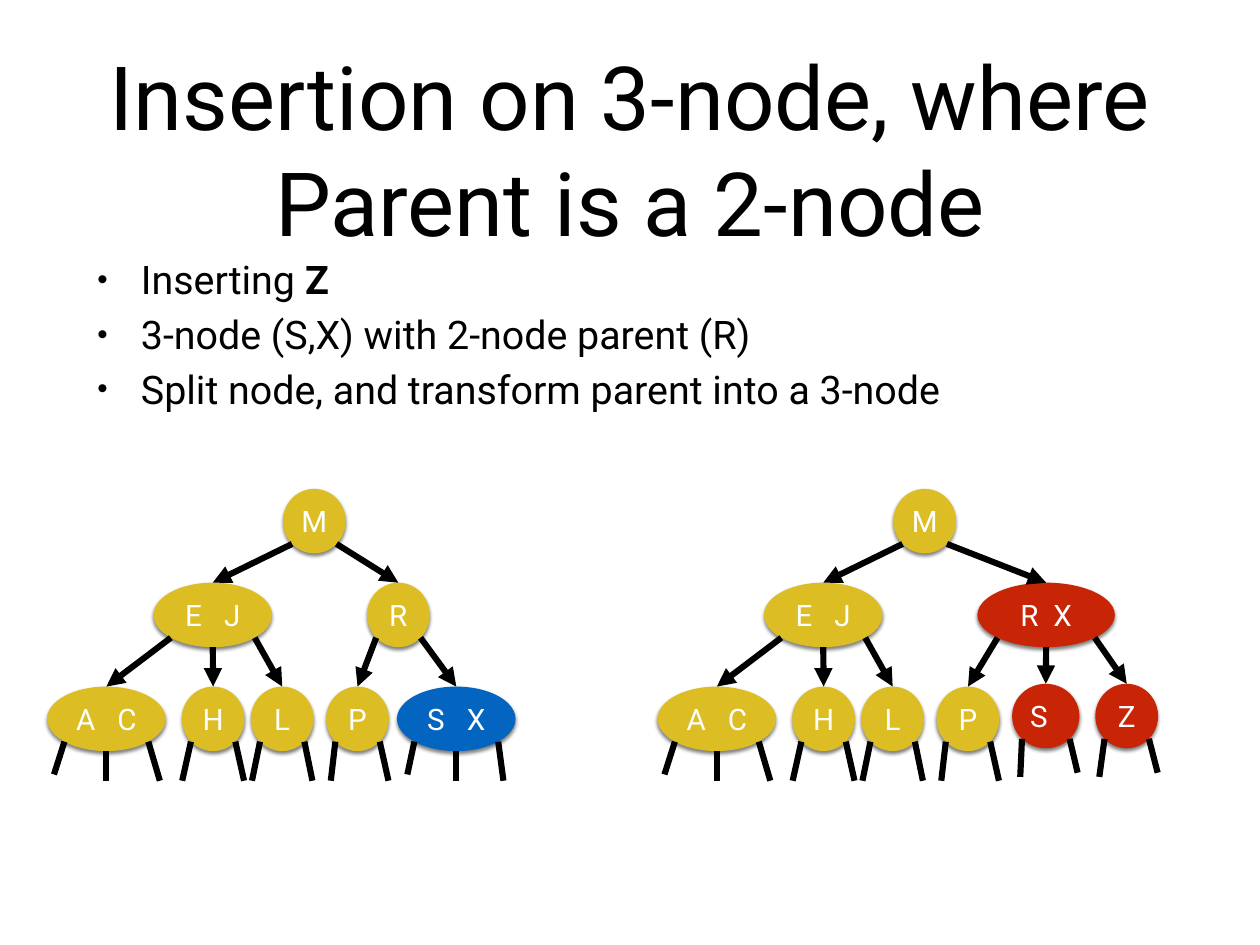
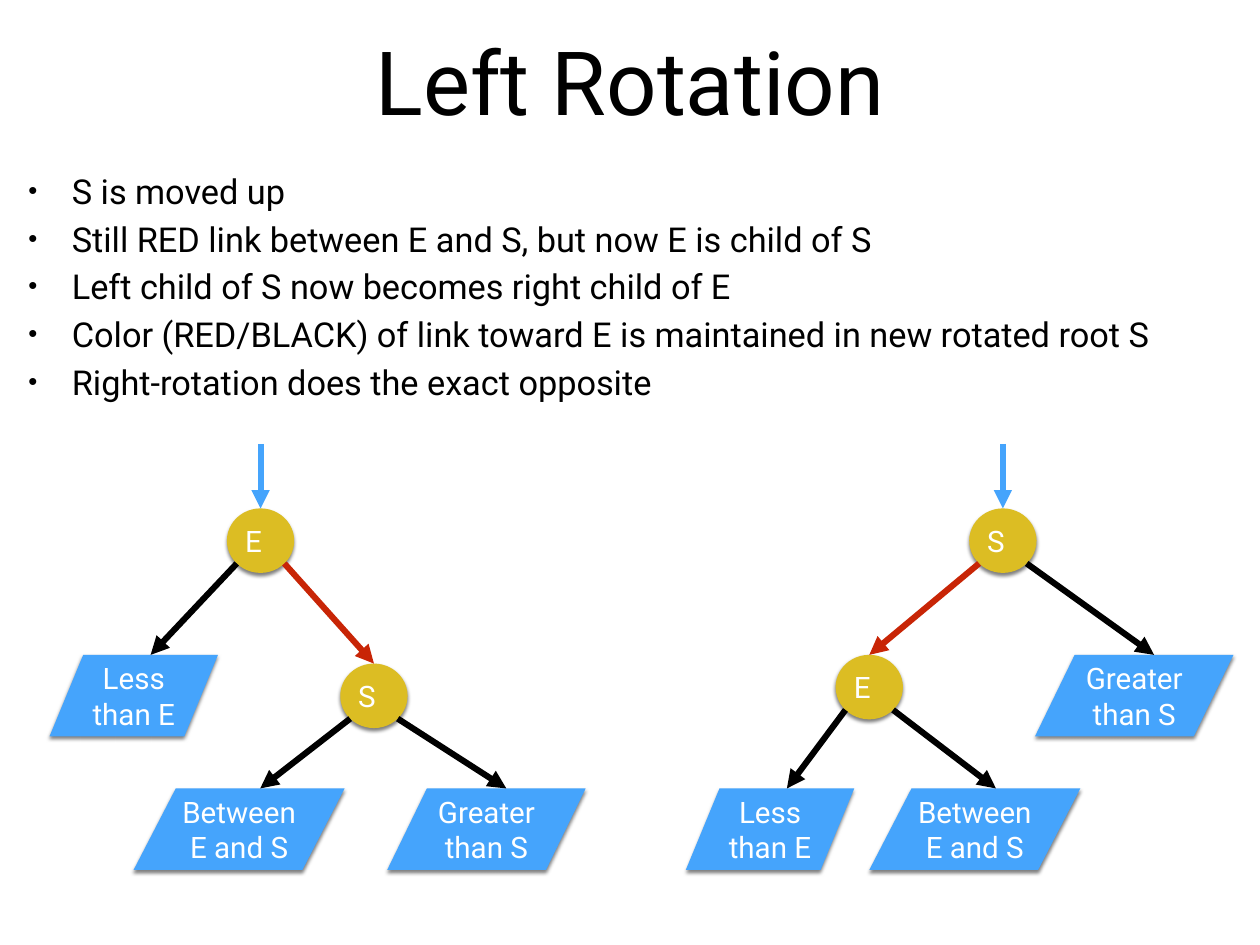
import math

import pptx
import pptx.dml.color
import pptx.enum.shapes
import pptx.enum.text
import pptx.oxml
import pptx.oxml.ns
import pptx.util
from lxml import etree
from pptx.util import Cm, Pt

FONT = "Roboto"
BLACK, WHITE, GOLD = "000000", "FFFFFF", "DCBD23"
RED, BLUE, SKY = "C82506", "0365C0", "45A4FC"
INSET = Cm(0.15)
CIRCLE, WIDE_CIRCLE, OVAL, WIDE_OVAL = 1.8, 1.93, 3.4, 3.94
NODE_HEIGHT, BLOCK_HEIGHT = 1.85, 2.34
DIAGONAL = math.sqrt(0.125)
SPACE_WIDTH = 6
SHAPES = pptx.enum.shapes.MSO_SHAPE
CENTER = pptx.enum.text.PP_ALIGN.CENTER
SHADOW = (
    '<a:outerShdw xmlns:a="http://schemas.openxmlformats.org/drawingml/2006/main"'
    ' blurRad="38100" dist="25400" dir="5400000" rotWithShape="0">'
    '<a:srgbClr val="000000"><a:alpha val="50000"/></a:srgbClr></a:outerShdw>'
)


def rgb(value):
    """Turn a hex string into a colour."""
    return pptx.dml.color.RGBColor.from_string(value)


def add_xml(parent, tag, **attributes):
    """Append a drawing element to its parent."""
    return etree.SubElement(parent, pptx.oxml.ns.qn(tag), attributes)


def style_runs(paragraph, size, color):
    """Give every run of a paragraph the shared font."""
    for run in paragraph.runs:
        run.font.name, run.font.size = FONT, Pt(size)
        run.font.color.rgb = rgb(color)


def set_frame(frame):
    """Apply the shared insets, wrapping and middle anchor."""
    frame.margin_left = frame.margin_right = INSET
    frame.margin_top = frame.margin_bottom = INSET
    frame.word_wrap = True
    frame.auto_size = pptx.enum.text.MSO_AUTO_SIZE.NONE
    frame.vertical_anchor = pptx.enum.text.MSO_ANCHOR.MIDDLE


def place(shape, box):
    """Move a placeholder to a box given in centimetres."""
    shape.left, shape.top, shape.width, shape.height = map(Cm, box)


def add_title(slide, text, box):
    """Fill the title placeholder."""
    title = slide.shapes.title
    place(title, box)
    set_frame(title.text_frame)
    title.text_frame.text = text
    heading = title.text_frame.paragraphs[0]
    heading.alignment = CENTER
    style_runs(heading, 72, BLACK)


def add_bullets(slide, lines, box, size, space_before, line_spacing):
    """Fill the body placeholder, with text after an asterisk in bold."""
    body = slide.placeholders[1]
    place(body, box)
    frame = body.text_frame
    set_frame(frame)
    frame.text = "\n".join(line.partition("*")[0] for line in lines)
    for line, paragraph in zip(lines, frame.paragraphs):
        strong = line.partition("*")[2]
        if strong:
            run = paragraph.add_run()
            run.text, run.font.bold = strong, True
        style_runs(paragraph, size, BLACK)
        paragraph.space_before = Pt(space_before)
        paragraph.line_spacing = line_spacing
        properties = paragraph._p.get_or_add_pPr()
        properties.set("marL", str(Cm(1.25)))
        properties.set("indent", str(-Cm(1.25)))
        add_xml(properties, "a:buSzPct", val="75000")
        add_xml(properties, "a:buChar", char="•")


def add_filled(slide, preset, box, color, text):
    """Draw a shadowed shape with white centred text."""
    shape = slide.shapes.add_shape(preset, *map(Cm, box))
    shape.fill.solid()
    shape.fill.fore_color.rgb = rgb(color)
    shape.line.fill.background()
    shape.shadow.inherit = False
    effects = shape.element.spPr.find(pptx.oxml.ns.qn("a:effectLst"))
    effects.append(pptx.oxml.parse_xml(SHADOW))
    set_frame(shape.text_frame)
    label = shape.text_frame.paragraphs[0]
    label.text = text
    label.alignment = CENTER
    style_runs(label, 24, WHITE)
    return shape


def add_node(slide, keys, center, top, width, color=GOLD, gap=3, nudge=0):
    """Draw a tree node whose keys stand a number of spaces apart."""
    box = (center - width / 2, top, width, NODE_HEIGHT)
    node = add_filled(slide, SHAPES.OVAL, box, color, keys[0])
    label = node.text_frame.paragraphs[0]
    for key in keys[1:]:
        spacer, letter = label.add_run(), label.add_run()
        spacer.text, letter.text = " ", key
        style_runs(label, 24, WHITE)
        spacer.font._element.set("spc", str((gap - 1) * SPACE_WIDTH * 100))
    if nudge:
        node.text_frame.margin_left = 0
        node.text_frame.margin_right = Cm(2 * nudge)
    return node


def add_block(slide, text, left, top, width):
    """Draw a subtree as a slanted block."""
    box = (left, top, width, BLOCK_HEIGHT)
    return add_filled(slide, SHAPES.FLOWCHART_DATA, box, SKY, text)


def add_line(slide, start, end, color=BLACK, arrow=True):
    """Draw a thick line, with an arrowhead at its end if wanted."""
    kind = pptx.enum.shapes.MSO_CONNECTOR.STRAIGHT
    points = [round(value) for value in (*start, *end)]
    line = slide.shapes.add_connector(kind, *points)
    line.line.color.rgb = rgb(color)
    line.line.width = Pt(5)
    properties = line.element.spPr
    if arrow:
        add_xml(properties.find(pptx.oxml.ns.qn("a:ln")), "a:tailEnd", type="triangle")
    add_xml(properties, "a:effectLst")
    return line


def exit_point(node, side):
    """Return the lower left (-1), bottom (0) or lower right (1) point of a node."""
    drop = DIAGONAL if side else 0.5
    return (node.left + node.width * (0.5 + side * DIAGONAL),
            node.top + node.height * (0.5 + drop))


def add_link(slide, parent, child, side, color=BLACK):
    """Draw an arrow from a parent to the top of its child."""
    slanted = child.auto_shape_type == SHAPES.FLOWCHART_DATA
    entry = child.left + child.width * (0.6 if slanted else 0.5)
    link = add_line(slide, exit_point(parent, side), (entry, child.top), color)
    if not slanted:
        link.end_connect(child, 0)


def add_stubs(slide, leaf, left_stub, right_stub, middle):
    """Draw the empty links below a leaf."""
    stubs = [(-1, left_stub), (1, right_stub)] + ([(0, (0, 0.86))] if middle else [])
    for side, (shift, drop) in stubs:
        x, y = exit_point(leaf, side)
        add_line(slide, (x, y), (x + Cm(shift), y + Cm(drop)), arrow=False)


def add_search_tree(slide, left, top, right_parent, right_leaves):
    """Draw a 2-3 tree with the given right branch."""
    def node(keys, center, drop, width, **style):
        return add_node(slide, keys, left + center, top + drop, width, **style)

    root = node("M", 7.66, 0, CIRCLE)
    left_node = node("EJ", 4.75, 2.69, OVAL)
    keys, center, width, style = right_parent
    right_node = node(keys, center, 2.69, width, **style)
    add_link(slide, root, left_node, -1)
    add_link(slide, root, right_node, 1)
    left_leaves = [
        ("AC", 1.7, 5.67, OVAL, {}, (-0.3, 0.94), (0.33, 1.12)),
        ("H", 4.76, 5.67, CIRCLE, {}, (-0.25, 1.12), (0.25, 1.12)),
        ("L", 6.74, 5.67, CIRCLE, {}, (-0.23, 1.12), (0.23, 1.12)),
    ]
    shared_leaf = ("P", 8.9, 5.67, CIRCLE, {}, (-0.13, 1.12), (0.25, 1.12))
    for parent, leaves in ((left_node, left_leaves),
                           (right_node, [shared_leaf] + right_leaves)):
        sides = (-1, 0, 1) if len(leaves) == 3 else (-1, 1)
        for side, (keys, center, drop, width, style, *stubs) in zip(sides, leaves):
            leaf = node(keys, center, drop, width, **style)
            add_link(slide, parent, leaf, side)
            add_stubs(slide, leaf, *stubs, middle=len(keys) == 2)


def add_rotation_tree(slide, left, top, nodes, blocks, links):
    """Draw one state of a rotation, entered from above at the first node."""
    parts = {}
    for key, center, drop in nodes:
        parts[key] = add_node(slide, key, left + center, top + drop,
                              WIDE_CIRCLE, nudge=0.2)
    for text, shift, drop, width in blocks:
        parts[text] = add_block(slide, text, left + shift, top + drop, width)
    for parent, child, side, color in links:
        add_link(slide, parts[parent], parts[child], side, color)
    root = parts[nodes[0][0]]
    middle = root.left + root.width / 2
    add_line(slide, (middle, Cm(top)), (middle, root.top), SKY).end_connect(root, 0)


def build_insertion(slide):
    """Build the slide on inserting into a 3-node."""
    add_title(slide, "Insertion on 3-node, where Parent is a 2-node",
              (2.64, 1.24, 30.84, 6))
    add_bullets(slide, [
        "Inserting *Z",
        "3-node (S,X) with 2-node parent (R)",
        "Split node, and transform parent into a 3-node",
    ], (2.64, 7.24, 30.84, 4.67), 32, 6, 1)
    red = {"color": RED}
    add_search_tree(slide, 1.35, 14.02, ("R", 10.07, CIRCLE, {}), [
        ("SX", 11.73, 5.67, OVAL, {"color": BLUE}, (-0.2, 0.94), (0.15, 1.12)),
    ])
    add_search_tree(slide, 18.85, 14.02, ("RX", 11.14, WIDE_OVAL, {**red, "gap": 2}), [
        ("S", 11.13, 5.59, WIDE_CIRCLE, {**red, "nudge": 0.2},
         (-0.05, 1.09), (0.23, 0.97)),
        ("Z", 13.45, 5.59, CIRCLE, red, (-0.15, 1.09), (0.25, 0.97)),
    ])


def build_rotation(slide):
    """Build the slide on left rotation."""
    add_title(slide, "Left Rotation", (2.64, 0.74, 30.84, 3.1))
    add_bullets(slide, [
        "S is moved up",
        "Still RED link between E and S, but now E is child of S",
        "Left child of S now becomes right child of E",
        "Color (RED/BLACK) of link toward E is maintained in new rotated root S",
        "Right-rotation does the exact opposite",
    ], (0.66, 4.52, 34.7, 7.59), 27.9, 12, 0.8)
    less, between, greater = "Less than E", "Between E and S", "Greater than S"
    upper, lower = 6.05, 9.88
    add_rotation_tree(
        slide, 1.42, 12.73,
        [("E", 6.05, 1.85), ("S", 9.3, 6.3)],
        [(less, 0, upper, 4.83), (between, 2.41, lower, 6.05),
         (greater, 9.68, lower, 5.69)],
        [("E", less, -1, BLACK), ("E", "S", 1, RED),
         ("S", between, -1, BLACK), ("S", greater, 1, BLACK)])
    add_rotation_tree(
        slide, 19.66, 12.73,
        [("S", 9.09, 1.85), ("E", 5.26, upper)],
        [(less, 0, lower, 4.83), (between, 5.26, lower, 6.05),
         (greater, 10.01, upper, 5.69)],
        [("S", "E", -1, RED), ("S", greater, 1, BLACK),
         ("E", less, -1, BLACK), ("E", between, 1, BLACK)])


def main():
    """Build and save the presentation."""
    deck = pptx.Presentation()
    deck.slide_width, deck.slide_height = Cm(36.12), Cm(27.1)
    for build in (build_insertion, build_rotation):
        build(deck.slides.add_slide(deck.slide_layouts[1]))
    deck.save("out.pptx")


if __name__ == "__main__":
    main()
